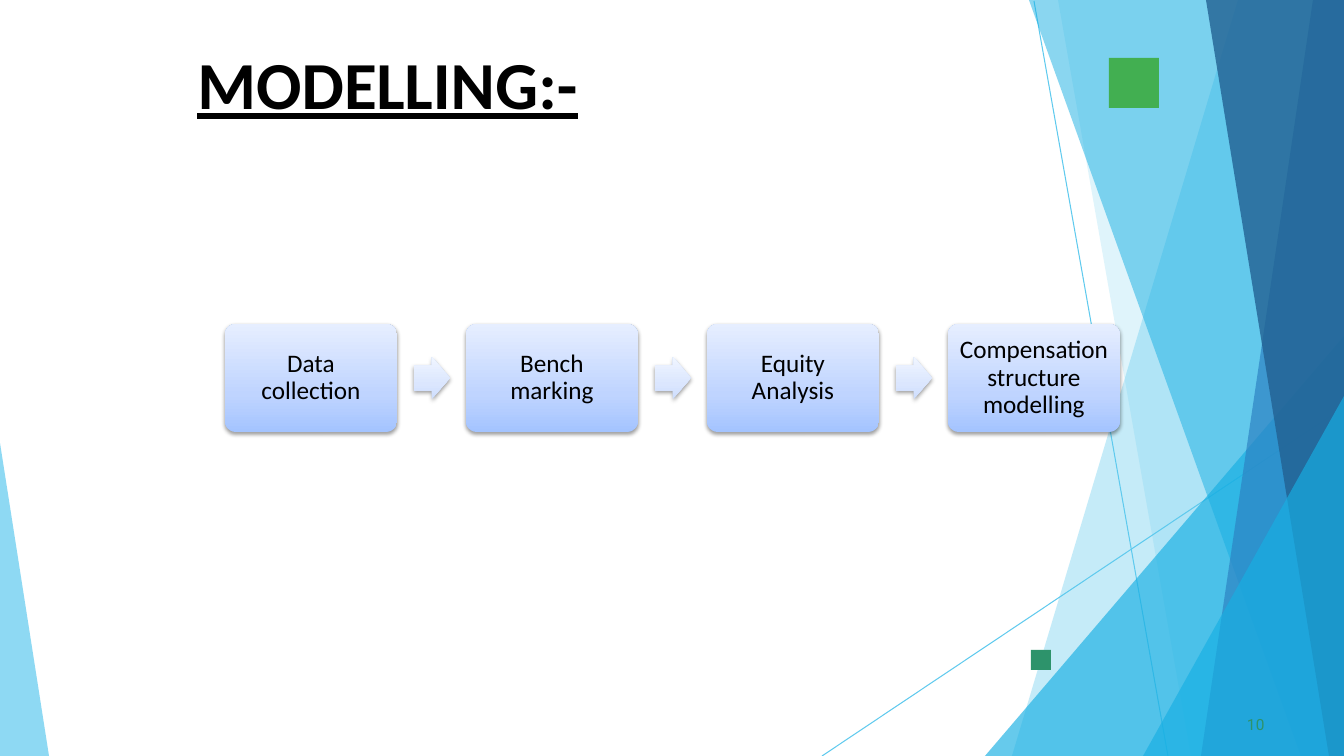
import pptx
import pptx.dml.color
import pptx.enum.shapes
import pptx.enum.text
import pptx.oxml
import pptx.oxml.ns
import pptx.util
from lxml import etree

RGB = pptx.dml.color.RGBColor
SHAPE = pptx.enum.shapes.MSO_SHAPE
ALIGN = pptx.enum.text.PP_ALIGN
ANCHOR = pptx.enum.text.MSO_ANCHOR
qn = pptx.oxml.ns.qn

SCALE = 914400 / 100.8  # EMU in one px
WIDTH, HEIGHT = 1344, 756

BLACK = RGB(0x00, 0x00, 0x00)
SKY = RGB(0x5F, 0xCA, 0xEE)
CYAN = RGB(0x17, 0xAF, 0xE3)
BLUE = RGB(0x2D, 0x83, 0xC3)
NAVY = RGB(0x22, 0x61, 0x92)
GREEN = RGB(0x42, 0xAF, 0x51)
TEAL = RGB(0x2D, 0x93, 0x6B)
BOX_STOPS = [(0, RGB(0xA4, 0xC4, 0xFF)), (35, RGB(0xBF, 0xD4, 0xFF)), (100, RGB(0xE6, 0xEE, 0xFF))]
ARROW_STOPS = [(0, RGB(0xCD, 0xDD, 0xFE)), (35, RGB(0xDB, 0xE6, 0xFE)), (100, RGB(0xF0, 0xF5, 0xFF))]


def px(*lengths):
    return [pptx.util.Emu(round(length * SCALE)) for length in lengths]


def write_text(shape, *pieces, size, color, font="Calibri", bold=False, underline=False,
               align=ALIGN.LEFT, anchor=ANCHOR.TOP, margins=(0, 1, 0, 0),
               line_spacing=1.0, before=0, indent=0):
    """Write (text, letter spacing) pieces as one paragraph."""
    frame = shape.text_frame
    frame.word_wrap = True
    frame.auto_size = pptx.enum.text.MSO_AUTO_SIZE.NONE
    frame.vertical_anchor = anchor
    frame.margin_left, frame.margin_top, frame.margin_right, frame.margin_bottom = px(*margins)
    para = frame.paragraphs[0]
    para.alignment = align
    para.line_spacing = line_spacing
    para.space_before = pptx.util.Pt(before)
    para._p.get_or_add_pPr().set("marL", str(px(indent)[0]))
    for text, spacing in pieces:
        span = para.add_run()
        span.text = text
        span.font.name = font
        span.font.size = pptx.util.Pt(size)
        span.font.bold = bold
        span.font.underline = underline
        span.font.color.rgb = color
        span._r.get_or_add_rPr().set("spc", str(spacing))


deck = pptx.Presentation()
deck.slide_width, deck.slide_height = px(WIDTH, HEIGHT)
slide = deck.slides.add_slide(deck.slide_layouts[5])
shapes = slide.shapes

# Thin background lines
for ends in [(1034, 1, 1168, HEIGHT), (WIDTH, 407, 822, HEIGHT)]:
    line = shapes.add_connector(pptx.enum.shapes.MSO_CONNECTOR.STRAIGHT, *px(*ends))
    line.line.color.rgb = SKY
    line.line.width = pptx.util.Pt(0.75)
    etree.SubElement(line._element.spPr, qn("a:effectLst"))

# Translucent background facets: colour, opacity in percent, corners
TOP_RIGHT, BOTTOM_RIGHT = (WIDTH, 0), (WIDTH, HEIGHT)
facets = [
    (SKY, 36, [TOP_RIGHT, (1238, 0), (1012, HEIGHT), BOTTOM_RIGHT]),
    (SKY, 20, [TOP_RIGHT, (1058, 0), (1191, HEIGHT), BOTTOM_RIGHT]),
    (CYAN, 66, [(WIDTH, 336), (985, HEIGHT), BOTTOM_RIGHT]),
    (CYAN, 50, [TOP_RIGHT, (1029, 0), (1301, HEIGHT), BOTTOM_RIGHT]),
    (BLUE, 70, [TOP_RIGHT, (1313, 0), (1201, HEIGHT), BOTTOM_RIGHT]),
    (NAVY, 80, [TOP_RIGHT, (1206, 0), (1329, HEIGHT), BOTTOM_RIGHT]),
    (CYAN, 66, [(WIDTH, 396), (1143, HEIGHT), BOTTOM_RIGHT]),
    (SKY, 70, [(0, 443), (0, HEIGHT), (49, HEIGHT)]),
]
for color, opacity, corners in facets:
    builder = shapes.build_freeform(*corners[0], scale=SCALE)
    builder.add_line_segments(corners[1:], close=True)
    facet = builder.convert_to_shape()
    facet.shadow.inherit = False
    facet.line.fill.background()
    facet.fill.solid()
    facet.fill.fore_color.rgb = color
    tint = facet._element.spPr.find(".//" + qn("a:srgbClr"))
    etree.SubElement(tint, qn("a:alpha"), val=str(opacity * 1000))

# Green squares
for color, left, top, side in [(TEAL, 1031, 650, 20), (GREEN, 1109, 58, 50)]:
    square = shapes.add_shape(SHAPE.RECTANGLE, *px(left, top, side, side))
    square.shadow.inherit = False
    square.line.fill.background()
    square.fill.solid()
    square.fill.fore_color.rgb = color

# Slide number and title
number = shapes.add_textbox(*px(1243, 714, 25, 21))
write_text(number, ("10", 10), size=11, color=TEAL, font="Roboto", before=0.6, indent=4)

title = shapes.title
title.left, title.top, title.width, title.height = px(76, 41, 622, 83)
write_text(title, ("M", 10), ("O", 0), ("D", -10), ("ELL", -30), ("I", -10), ("N", 30), ("G:-", 10),
           size=48, color=BLACK, bold=True, underline=True, align=ALIGN.CENTER,
           before=1.1, indent=1)

# Process steps, each followed by an arrow except the last
STEPS = ["Data collection", "Bench marking", "Equity Analysis", "Compensation structure modelling"]
STEP_LEFT, STEP_PITCH = 225, 241
for index, step in enumerate(STEPS):
    left = STEP_LEFT + index * STEP_PITCH
    box = shapes.add_shape(SHAPE.ROUNDED_RECTANGLE, *px(left, 324, 172, 108))
    box.adjustments[0] = 0.1
    write_text(box, (step, 0), size=18, color=BLACK, align=ALIGN.CENTER,
               anchor=ANCHOR.MIDDLE, margins=(7, 7, 7, 7), line_spacing=0.9)
    glossy = [(box, BOX_STOPS)]
    if index < len(STEPS) - 1:
        arrow = shapes.add_shape(SHAPE.RIGHT_ARROW, *px(left + 189, 357, 36, 42))
        arrow.adjustments[0] = 0.6
        glossy.append((arrow, ARROW_STOPS))

    # Upward gradient and soft shadow
    for shape, stops in glossy:
        shape.line.fill.background()
        shape.fill.gradient()
        shape.fill.gradient_angle = 90
        stop_list = shape._element.spPr.find(".//" + qn("a:gsLst"))
        for old_stop in list(stop_list):
            stop_list.remove(old_stop)
        for position, color in stops:
            stop = etree.SubElement(stop_list, qn("a:gs"), pos=str(position * 1000))
            etree.SubElement(stop, qn("a:srgbClr"), val=str(color))
        shape.shadow.inherit = False
        effects = shape._element.spPr.find(qn("a:effectLst"))
        shadow = etree.SubElement(effects, qn("a:outerShdw"), blurRad=str(pptx.util.Pt(3.1)),
                                  dist=str(pptx.util.Pt(1.6)), dir="5400000", rotWithShape="0")
        shade = etree.SubElement(shadow, qn("a:srgbClr"), val=str(BLACK))
        etree.SubElement(shade, qn("a:alpha"), val="38000")

deck.save("out.pptx")
